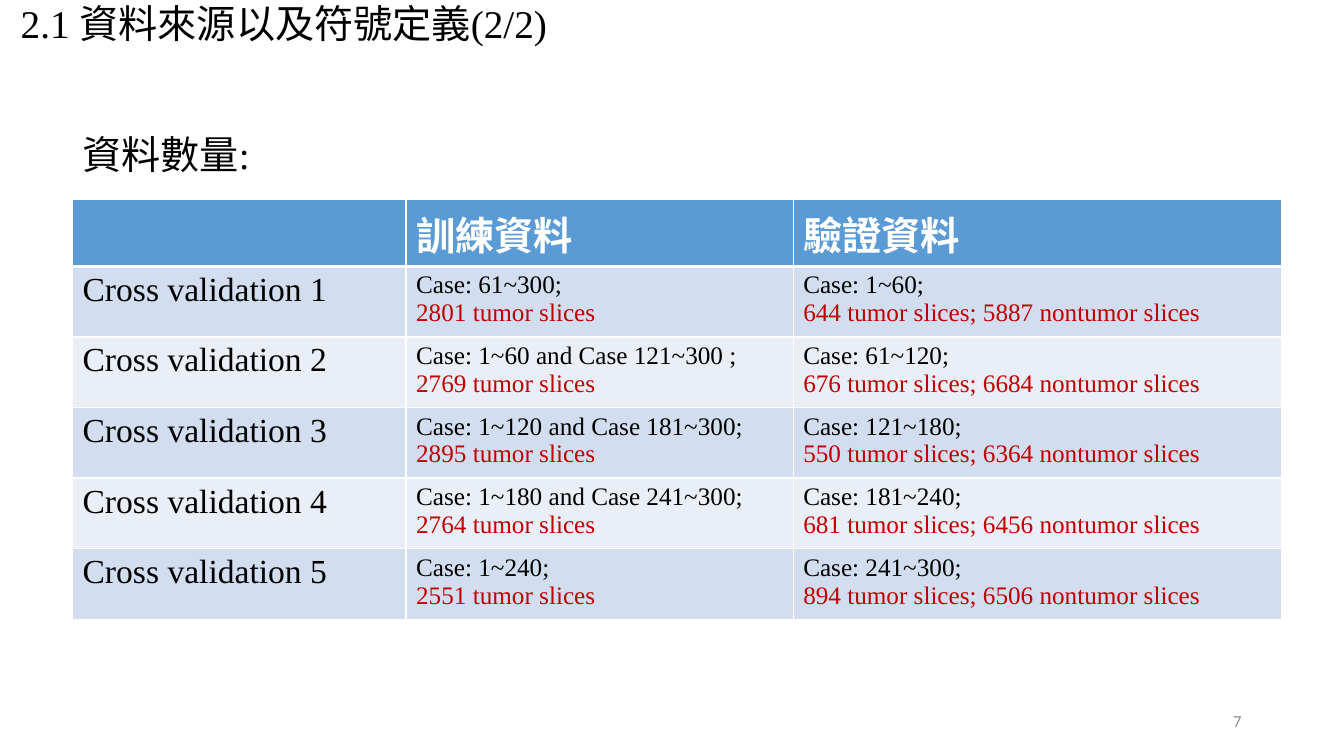
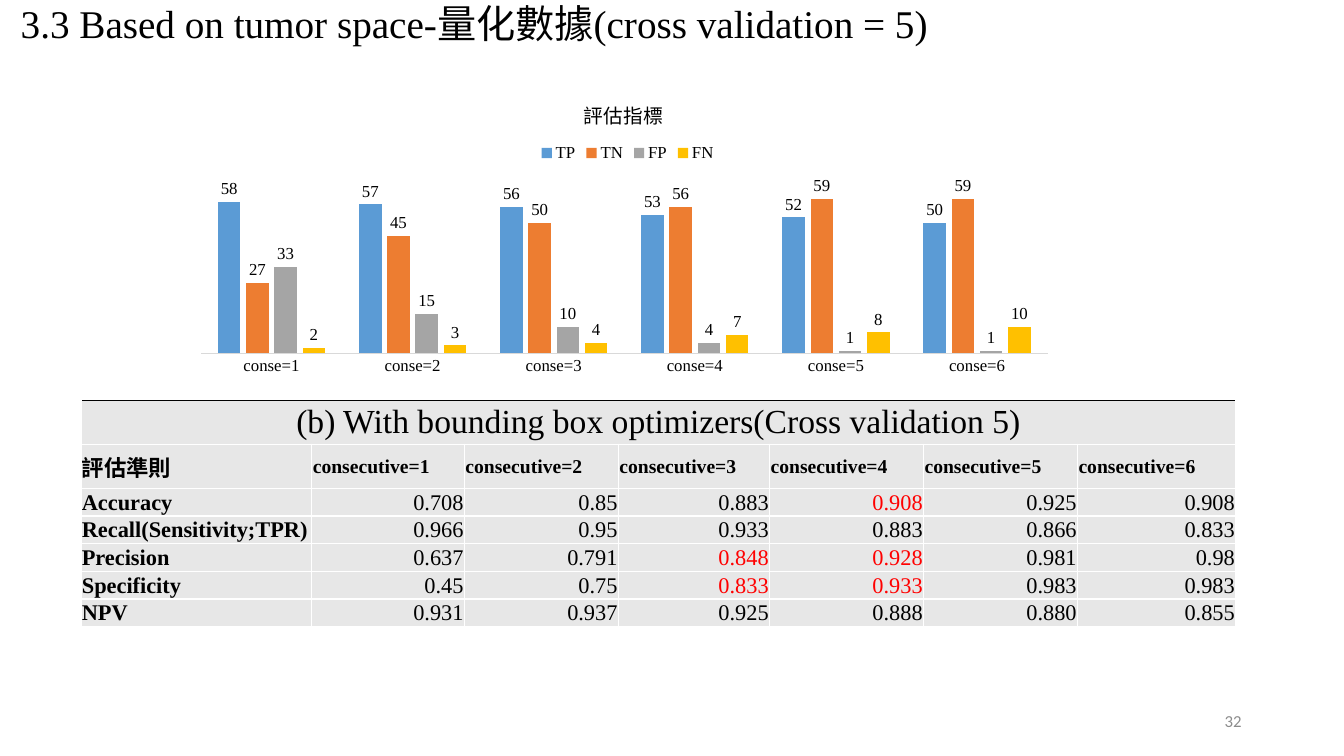
"""Build two slides on cross validation data and results."""
from lxml import etree
from pptx import Presentation
from pptx.chart.data import CategoryChartData
from pptx.dml.color import RGBColor
from pptx.enum.chart import XL_CHART_TYPE, XL_LABEL_POSITION, XL_LEGEND_POSITION, XL_TICK_MARK
from pptx.enum.text import MSO_ANCHOR, MSO_AUTO_SIZE, PP_ALIGN
from pptx.oxml.ns import qn
from pptx.util import Pt

LEFT, CENTER, RIGHT = PP_ALIGN.LEFT, PP_ALIGN.CENTER, PP_ALIGN.RIGHT
TOP, MIDDLE = MSO_ANCHOR.TOP, MSO_ANCHOR.MIDDLE
COLUMN = XL_CHART_TYPE.COLUMN_CLUSTERED
OUTSIDE_END = XL_LABEL_POSITION.OUTSIDE_END
LEGEND_TOP = XL_LEGEND_POSITION.TOP
NO_TICK = XL_TICK_MARK.NONE
NO_AUTOFIT = MSO_AUTO_SIZE.NONE

SERIF, CJK, SANS = "Times New Roman", "Noto Sans CJK SC", "Calibri"
BLACK, WHITE, GRAY = "000000", "FFFFFF", "8C8C8C"
DARK_RED, RED = "C00000", "FF0000"
BLUE, BAND_DARK, BAND_LIGHT, PALE = "5B9BD5", "D2DEEF", "EAEFF7", "E7E7E7"

DATA_TITLE = "2.1 資料來源以及符號定義(2/2)"
DATA_LABEL = "資料數量:"
DATA_HEADER = ["", "訓練資料", "驗證資料"]
DATA_COLS = [238.3, 276.5, 349.2]
FOLDS = [
    (("Case: 61~300;", "2801 tumor slices"),
     ("Case: 1~60;", "644 tumor slices; 5887 nontumor slices")),
    (("Case: 1~60 and Case 121~300 ;", "2769 tumor slices"),
     ("Case: 61~120;", "676 tumor slices; 6684 nontumor slices")),
    (("Case: 1~120 and Case 181~300;", "2895 tumor slices"),
     ("Case: 121~180;", "550 tumor slices; 6364 nontumor slices")),
    (("Case: 1~180 and Case 241~300;", "2764 tumor slices"),
     ("Case: 181~240;", "681 tumor slices; 6456 nontumor slices")),
    (("Case: 1~240;", "2551 tumor slices"),
     ("Case: 241~300;", "894 tumor slices; 6506 nontumor slices")),
]

RESULT_TITLE = "3.3 Based on tumor space-量化數據(cross validation = 5)"
CHART_TITLE = "評估指標"
SERIES = [
    ("TP", BLUE, [58, 57, 56, 53, 52, 50]),
    ("TN", "ED7D31", [27, 45, 50, 56, 59, 59]),
    ("FP", "A5A5A5", [33, 15, 10, 4, 1, 1]),
    ("FN", "FFC000", [2, 3, 4, 7, 8, 10]),
]
STEPS = range(1, 7)
METRIC_CAPTION = "(b) With bounding box optimizers(Cross validation 5)"
METRIC_HEADER = ["評估準則"] + [f"consecutive={n}" for n in STEPS]
METRIC_COLS = [165, 109, 110, 108, 110, 110, 113]
METRICS = [
    ("Accuracy", "0.708", "0.85", "0.883", "0.908", "0.925", "0.908"),
    ("Recall(Sensitivity;TPR)", "0.966", "0.95", "0.933", "0.883", "0.866", "0.833"),
    ("Precision", "0.637", "0.791", "0.848", "0.928", "0.981", "0.98"),
    ("Specificity", "0.45", "0.75", "0.833", "0.933", "0.983", "0.983"),
    ("NPV", "0.931", "0.937", "0.925", "0.888", "0.880", "0.855"),
]
HIGHLIGHTS = {("Accuracy", 4), ("Precision", 3), ("Precision", 4),
              ("Specificity", 3), ("Specificity", 4)}


def rgb(color):
    return RGBColor.from_string(color)


def write(p, text, size=28, color=BLACK, bold=False, font=SERIF, align=LEFT, spacing=None):
    p.alignment = align
    if spacing:
        p.line_spacing = spacing
    r = p.add_run()
    r.text = text
    r.font.size, r.font.bold, r.font.name = Pt(size), bold, font
    r.font.color.rgb = rgb(color)
    ea = etree.SubElement(r.font._element, qn("a:ea"))
    ea.set("typeface", CJK)


def place(sp, x, y, w, h, anchor=TOP):
    sp.left, sp.top, sp.width, sp.height = Pt(x), Pt(y), Pt(w), Pt(h)
    tf = sp.text_frame
    tf.word_wrap, tf.auto_size, tf.vertical_anchor = True, NO_AUTOFIT, anchor
    tf.margin_left = tf.margin_right = Pt(7.2)
    tf.margin_top = tf.margin_bottom = Pt(3.6)
    return tf.paragraphs[0]


def add_text(s, text, x, y, w, h, anchor=TOP, **fmt):
    sp = s.shapes.add_textbox(Pt(x), Pt(y), Pt(w), Pt(h))
    write(place(sp, x, y, w, h, anchor), text, **fmt)


def add_slide(prs, title, number):
    s = prs.slides.add_slide(prs.slide_layouts[5])
    write(place(s.shapes.title, 7.6, 0, 880, 41), title, spacing=0.9)
    add_text(s, number, 678, 500.4, 216, 28.8, MIDDLE,
             size=12, color=GRAY, font=SANS, align=RIGHT)
    return s


def style_cell(cell, fill, top=(WHITE, 1), bottom=(WHITE, 1)):
    tc_pr = cell._tc.get_or_add_tcPr()
    sides = {"lnL": (WHITE, 1), "lnR": (WHITE, 1), "lnT": top, "lnB": bottom}
    for tag, (color, width) in sides.items():
        ln = etree.SubElement(tc_pr, qn(f"a:{tag}"), w=str(Pt(width)))
        solid = etree.SubElement(ln, qn("a:solidFill"))
        etree.SubElement(solid, qn("a:srgbClr"), val=color)
    cell.fill.solid()
    cell.fill.fore_color.rgb = rgb(fill)


def add_table(s, x, y, cols, rows):
    frame = s.shapes.add_table(len(rows), len(cols), Pt(x), Pt(y),
                               Pt(sum(cols)), Pt(sum(rows)))
    table = frame.table
    for column, width in zip(table.columns, cols):
        column.width = Pt(width)
    for row, height in zip(table.rows, rows):
        row.height = Pt(height)
    return table


def add_fold_table(s):
    table = add_table(s, 51.8, 142.6, DATA_COLS, [40.7] + [50.4] * len(FOLDS))
    for c, text in enumerate(DATA_HEADER):
        cell = table.cell(0, c)
        style_cell(cell, BLUE, bottom=(WHITE, 3))
        if text:
            write(cell.text_frame.paragraphs[0], text, color=WHITE, bold=True)
    for r, fold in enumerate(FOLDS, 1):
        fill = BAND_DARK if r % 2 else BAND_LIGHT
        top = (WHITE, 3 if r == 1 else 1)
        for c in range(len(DATA_COLS)):
            style_cell(table.cell(r, c), fill, top=top)
        write(table.cell(r, 0).text_frame.paragraphs[0], f"Cross validation {r}", size=24)
        for c, (cases, slices) in enumerate(fold, 1):
            tf = table.cell(r, c).text_frame
            write(tf.paragraphs[0], cases, size=18)
            write(tf.add_paragraph(), slices, size=18, color=DARK_RED)


def add_metric_table(s):
    rows = [31.5, 31.5] + [19.8] * len(METRICS)
    table = add_table(s, 57.8, 285.8, METRIC_COLS, rows)
    for r in range(len(rows)):
        for c in range(len(METRIC_COLS)):
            cell = table.cell(r, c)
            style_cell(cell, PALE, top=(WHITE if r else BLACK, 1))
            cell.vertical_anchor = MIDDLE
            cell.margin_left = cell.margin_right = cell.margin_top = Pt(0.7)
            cell.margin_bottom = Pt(0)
    caption = table.cell(0, 0)
    caption.merge(table.cell(0, len(METRIC_COLS) - 1))
    write(caption.text_frame.paragraphs[0], METRIC_CAPTION, size=24, align=CENTER)
    for r, row in enumerate([METRIC_HEADER] + METRICS, 1):
        for c, text in enumerate(row):
            is_value = r > 1 and c > 0
            write(table.cell(r, c).text_frame.paragraphs[0], text,
                  size=14 if r == 1 and c else 16, bold=not is_value,
                  color=RED if (row[0], c) in HIGHLIGHTS else BLACK,
                  align=RIGHT if is_value else LEFT)


def set_layout(parent, **values):
    for old in parent.findall(qn("c:layout")):
        parent.remove(old)
    layout = etree.Element(qn("c:layout"))
    manual = etree.SubElement(layout, qn("c:manualLayout"))
    if "w" in values:
        etree.SubElement(manual, qn("c:layoutTarget"), val="inner")
    for key in ("x", "y"):
        etree.SubElement(manual, qn(f"c:{key}Mode"), val="edge")
    for key, value in values.items():
        etree.SubElement(manual, qn(f"c:{key}"), val=str(value))
    overlay = parent.find(qn("c:overlay"))
    if overlay is None:
        parent.insert(0, layout)
    else:
        overlay.addprevious(layout)


def add_score_chart(s):
    data = CategoryChartData()
    data.categories = [f"conse={n}" for n in STEPS]
    for name, _, values in SERIES:
        data.add_series(name, values)
    chart = s.shapes.add_chart(COLUMN, Pt(131), Pt(56.9), Pt(630), Pt(216), data).chart
    chart.font.size, chart.font.name = Pt(12), SERIF
    chart.font.color.rgb = rgb(BLACK)
    chart.has_title = True
    write(chart.chart_title.text_frame.paragraphs[0], CHART_TITLE, size=14, align=CENTER)
    chart.has_legend = True
    chart.legend.position, chart.legend.include_in_layout = LEGEND_TOP, False
    chart.value_axis.visible = chart.value_axis.has_major_gridlines = False
    chart.value_axis.minimum_scale, chart.value_axis.maximum_scale = 0, 70
    axis = chart.category_axis
    axis.major_tick_mark = axis.minor_tick_mark = NO_TICK
    axis.format.line.color.rgb = rgb("D9D9D9")
    axis.format.line.width = Pt(0.75)
    plot = chart.plots[0]
    plot.gap_width, plot.overlap, plot.vary_by_categories = 150, -25, False
    plot.has_data_labels = True
    labels = plot.data_labels
    labels.show_value, labels.position = True, OUTSIDE_END
    labels.font.size, labels.font.name = Pt(12), SERIF
    labels.font.color.rgb = rgb(BLACK)
    for series, (_, color, _) in zip(plot.series, SERIES):
        series.format.fill.solid()
        series.format.fill.fore_color.rgb = rgb(color)
    area = chart._chartSpace.chart.plotArea
    set_layout(area, x=0.02, y=0.3, w=0.96, h=0.605)
    set_layout(chart.chart_title._element, x=0.45, y=0.05)
    set_layout(chart.legend._element, x=0.4, y=0.2)


def main():
    prs = Presentation()
    prs.slide_width, prs.slide_height = Pt(960), Pt(540)
    s = add_slide(prs, DATA_TITLE, "7")
    add_fold_table(s)
    add_text(s, DATA_LABEL, 51.8, 93.6, 253.4, 41, spacing=0.9)
    s = add_slide(prs, RESULT_TITLE, "32")
    add_score_chart(s)
    add_metric_table(s)
    prs.save("out.pptx")


if __name__ == "__main__":
    main()
